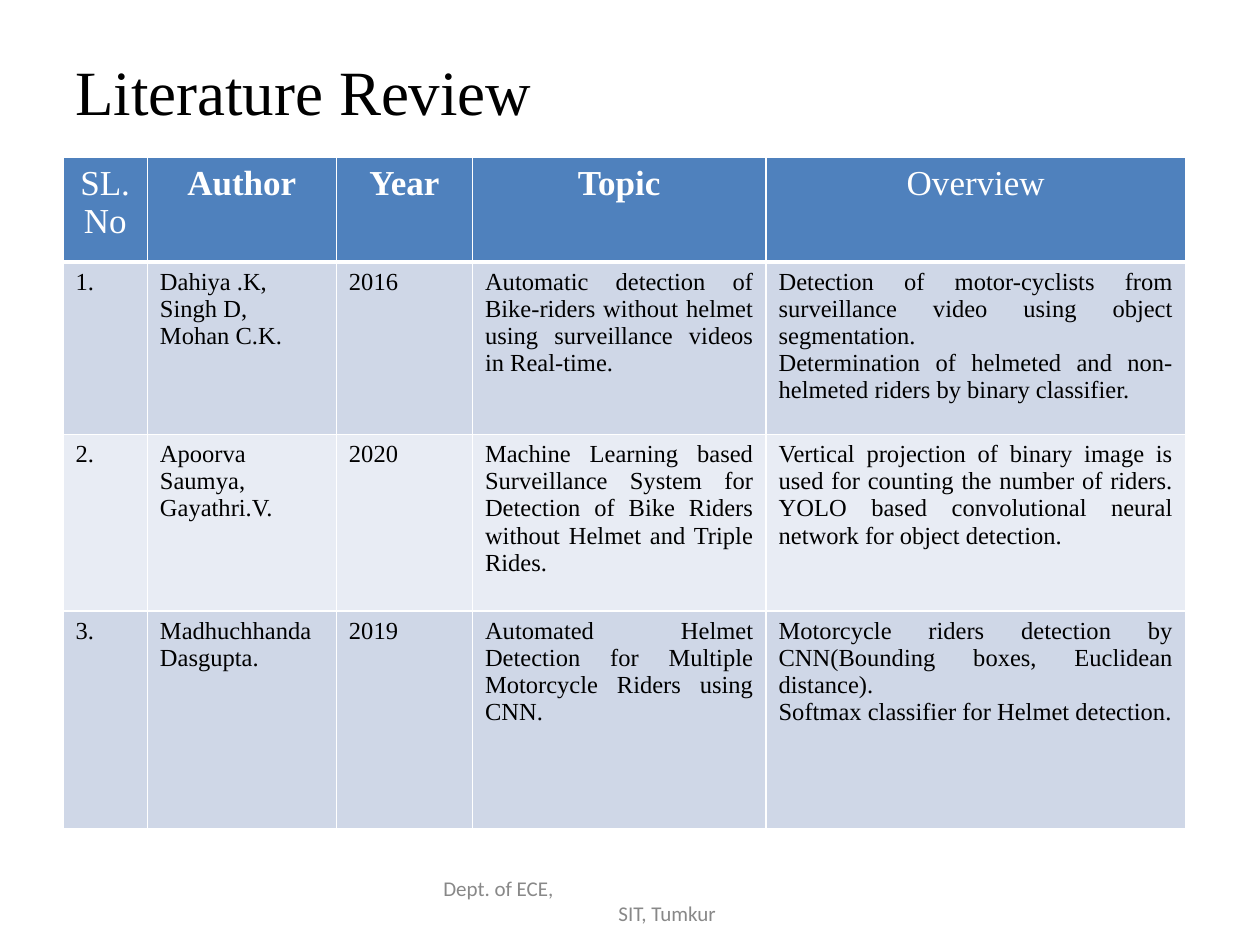
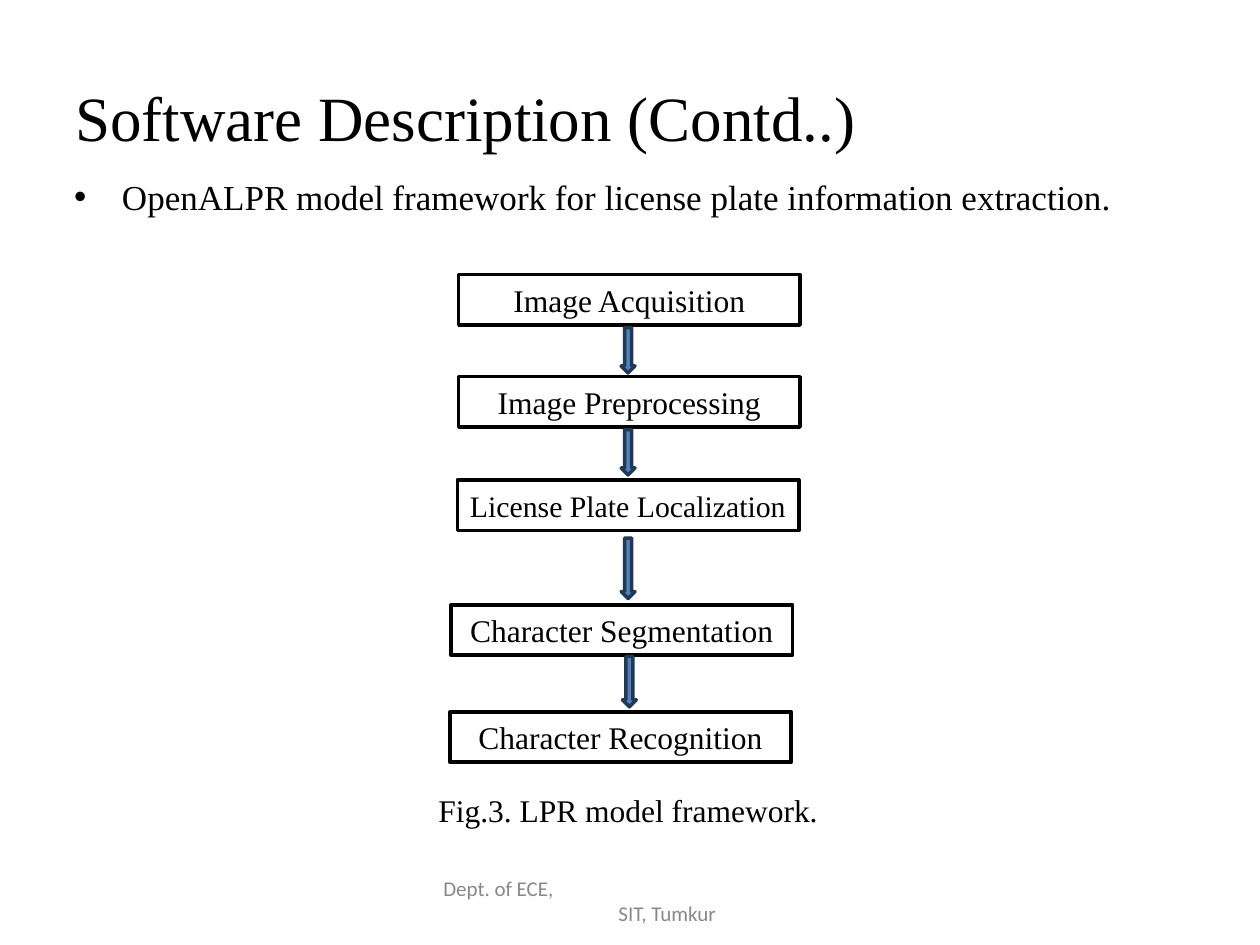
from lxml.etree import SubElement
from pptx import Presentation
from pptx.dml.color import RGBColor
from pptx.enum.shapes import MSO_SHAPE
from pptx.enum.text import MSO_ANCHOR, PP_ALIGN
from pptx.oxml.ns import qn
from pptx.util import Inches, Pt

SERIF = "Times New Roman"
BLACK, WHITE, GRAY = "000000", "FFFFFF", "888888"
BLUE, NAVY = "4F81BD", "233953"
BANDS = ["CFD7E7", "E8ECF4"]

TITLE = {"size": 36, "name": SERIF, "color": BLACK}
BULLET = {"size": 20, "name": SERIF, "color": BLACK}
LABEL = {"size": 18, "name": SERIF, "color": BLACK}
FOOTER = {"size": 12, "name": "Calibri", "color": GRAY}
HEADING = {"size": 20, "name": SERIF, "color": WHITE}
BODY = {"size": 14, "name": SERIF, "color": BLACK}

FOOTER_LINES = ["Dept. of ECE,", "SIT, Tumkur"]
FOOTER_INDENT = 1.39

HEADINGS = ["SL.No", "Author", "Year", "Topic", "Overview"]
BOLD_HEADINGS = {"Author", "Year", "Topic"}
COLUMN_WIDTHS = [0.67, 1.5, 1.08, 2.33, 3.33]
ROW_HEIGHTS = [0.83, 1.37, 1.4, 1.73]
PAPERS = [
    [["1."], ["Dahiya .K,", "Singh D,", "Mohan C.K."], ["2016"],
     ["Automatic detection of Bike-riders without helmet using surveillance videos in Real-time."],
     ["Detection of motor-cyclists from surveillance video using object segmentation.",
      "Determination of helmeted and non-helmeted riders by binary classifier."]],
    [["2."], ["Apoorva Saumya, Gayathri.V."], ["2020"],
     ["Machine Learning based Surveillance System for Detection of Bike Riders "
      "without Helmet and Triple Rides."],
     ["Vertical projection of binary image is used for counting the number of riders.\n"
      "YOLO based convolutional neural network for object detection."]],
    [["3."], ["Madhuchhanda Dasgupta."], ["2019"],
     ["Automated Helmet Detection for Multiple Motorcycle Riders using CNN."],
     ["Motorcycle riders detection by CNN(Bounding boxes, Euclidean distance).",
      "Softmax classifier for Helmet detection."]],
]

FRAMEWORK = "OpenALPR model framework for license plate information extraction."
CAPTION = "Fig.3. LPR model framework."
STEP_SIZE = (2.71, 0.4)
STEPS = [
    ("Image Acquisition", 3.64, 2.18, 18),
    ("Image Preprocessing", 3.64, 2.99, 18),
    ("License Plate Localization", 3.63, 3.81, 17),
    ("Character Segmentation", 3.58, 4.8, 18),
    ("Character Recognition", 3.57, 5.65, 18),
]
ARROW_WIDTH = 0.11
ARROWS = [(4.93, 2.6, 0.36), (4.93, 3.41, 0.36), (4.93, 4.27, 0.48), (4.94, 5.21, 0.4)]


def rgb(color):
    return RGBColor.from_string(color)


def write(frame, lines, style, align=PP_ALIGN.LEFT, **extra):
    for index, line in enumerate(lines):
        paragraph = frame.paragraphs[0] if index == 0 else frame.add_paragraph()
        paragraph.text = line
        paragraph.alignment = align
        for run in paragraph.runs:
            for name, value in {**style, **extra}.items():
                if name == "color":
                    run.font.color.rgb = rgb(value)
                else:
                    setattr(run.font, name, Pt(value) if name == "size" else value)


def add_text(slide, at, lines, style, align=PP_ALIGN.LEFT, anchor=MSO_ANCHOR.TOP):
    frame = slide.shapes.add_textbox(*map(Inches, at)).text_frame
    frame.word_wrap = True
    frame.vertical_anchor = anchor
    write(frame, lines, style, align)
    return frame


def add_block(slide, kind, at, fill, line):
    shape = slide.shapes.add_shape(kind, *map(Inches, at))
    shape.shadow.inherit = False
    shape.fill.solid()
    shape.fill.fore_color.rgb = rgb(fill)
    shape.line.color.rgb = rgb(line)
    shape.line.width = Pt(2)
    return shape


def add_slide(presentation, title, title_at, anchor):
    slide = presentation.slides.add_slide(presentation.slide_layouts[6])
    frame = add_text(slide, title_at, [title], TITLE, anchor=anchor)
    if anchor == MSO_ANCHOR.TOP:
        frame.margin_top = 0
    footer = add_text(slide, (3.42, 6.95, 3.17, 0.4), FOOTER_LINES, FOOTER,
                      anchor=MSO_ANCHOR.MIDDLE)
    indent_paragraph(footer.paragraphs[1], FOOTER_INDENT)
    return slide


def indent_paragraph(paragraph, left, first=0):
    properties = paragraph._p.get_or_add_pPr()
    properties.set("marL", str(Inches(left)))
    properties.set("indent", str(Inches(first)))
    return properties


def style_cell(cell, fill, top, bottom):
    properties = cell._tc.get_or_add_tcPr()
    for side, width in {"lnL": 1, "lnR": 1, "lnT": top, "lnB": bottom}.items():
        border = SubElement(properties, qn(f"a:{side}"), w=str(Pt(width)))
        solid = SubElement(border, qn("a:solidFill"))
        SubElement(solid, qn("a:srgbClr"), val=WHITE)
    cell.fill.solid()
    cell.fill.fore_color.rgb = rgb(fill)


def add_papers(slide):
    table = slide.shapes.add_table(
        len(ROW_HEIGHTS), len(COLUMN_WIDTHS), Inches(0.5), Inches(1.25),
        Inches(sum(COLUMN_WIDTHS)), Inches(sum(ROW_HEIGHTS))).table
    for column, width in zip(table.columns, COLUMN_WIDTHS):
        column.width = Inches(width)
    for row, height in zip(table.rows, ROW_HEIGHTS):
        row.height = Inches(height)
    for column, heading in enumerate(HEADINGS):
        cell = table.cell(0, column)
        style_cell(cell, BLUE, 1, 3)
        write(cell.text_frame, [heading], HEADING, PP_ALIGN.CENTER,
              bold=heading in BOLD_HEADINGS)
    for row, paper in enumerate(PAPERS, 1):
        for column, lines in enumerate(paper):
            cell = table.cell(row, column)
            style_cell(cell, BANDS[(row - 1) % 2], 3 if row == 1 else 1, 1)
            write(cell.text_frame, lines, BODY, PP_ALIGN.JUSTIFY, bold=False)


def add_flow(slide):
    for label, left, top, size in STEPS:
        shape = add_block(slide, MSO_SHAPE.RECTANGLE, (left, top, *STEP_SIZE), WHITE, BLACK)
        frame = shape.text_frame
        frame.margin_left = frame.margin_right = Inches(0.05)
        frame.vertical_anchor = MSO_ANCHOR.MIDDLE
        write(frame, [label], LABEL, PP_ALIGN.CENTER, size=size)
    for left, top, height in ARROWS:
        add_block(slide, MSO_SHAPE.DOWN_ARROW, (left, top, ARROW_WIDTH, height), BLUE, NAVY)


def main():
    presentation = Presentation()
    presentation.slide_width = Inches(10)
    presentation.slide_height = Inches(7.5)

    review = add_slide(presentation, "Literature Review", (0.5, 0.42, 9, 1.09), MSO_ANCHOR.TOP)
    add_papers(review)

    software = add_slide(presentation, "Software Description (Contd..)",
                         (0.5, 0.3, 9, 1.25), MSO_ANCHOR.MIDDLE)
    add_text(software, (2.61, 6.23, 4.75, 0.4), [CAPTION], LABEL, PP_ALIGN.CENTER)
    add_flow(software)
    body = add_text(software, (0.34, 1.34, 9.16, 0.86), [FRAMEWORK], BULLET)
    properties = indent_paragraph(body.paragraphs[0], 0.53, -0.38)
    color = SubElement(properties, qn("a:buClr"))
    SubElement(color, qn("a:srgbClr"), val=BLACK)
    SubElement(properties, qn("a:buFont"), typeface="Arial")
    SubElement(properties, qn("a:buChar"), char="•")

    presentation.save("out.pptx")


if __name__ == "__main__":
    main()
